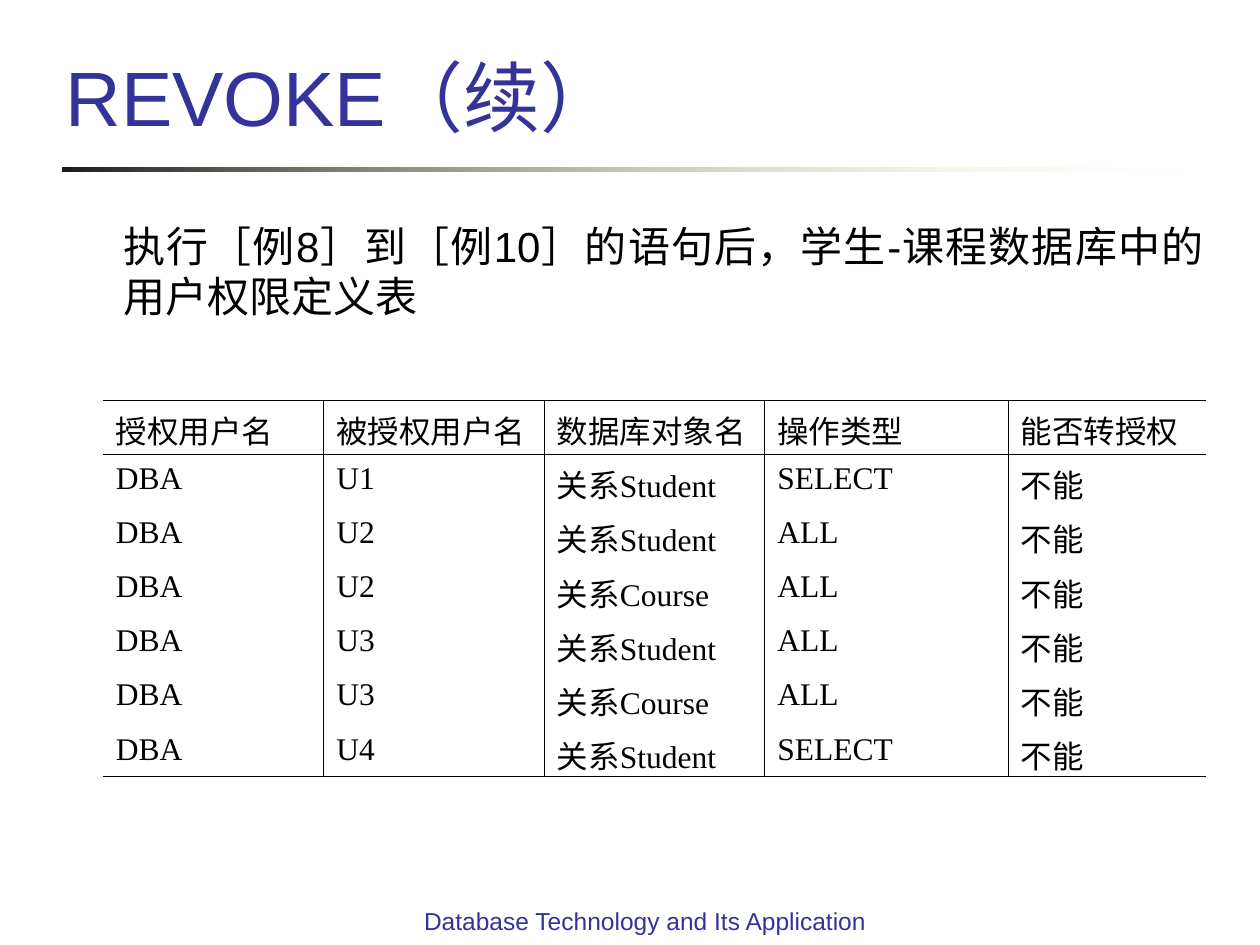
from dataclasses import dataclass
from typing import NamedTuple

from lxml import etree
from pptx import Presentation
from pptx import util as u
from pptx.dml.color import RGBColor
from pptx.enum import shapes, text
from pptx.oxml.ns import qn


@dataclass(frozen=True)
class Theme:
    heading: str = "333399"
    ink: str = "000000"
    rule_start: str = "1C1C1C"
    rule_end: str = "FFFFB7"
    sans: str = "Arial"
    serif: str = "Times New Roman"
    title_size: int = 44
    body_size: int = 24
    table_size: int = 18
    footer_size: int = 14
    border_width: float = 0.45


THEME = Theme()


class Box(NamedTuple):
    left: float
    top: float
    width: float
    height: float

    def lengths(self) -> list:
        return [u.Inches(value) for value in self]


class Grant(NamedTuple):
    grantor: str
    grantee: str
    target: str
    operation: str
    transferable: str


HEADER = Grant("授权用户名", "被授权用户名", "数据库对象名", "操作类型", "能否转授权")
GRANTS = [
    Grant("DBA", grantee, f"关系{relation}", operation, "不能")
    for grantee, relation, operation in [
        ("U1", "Student", "SELECT"),
        ("U2", "Student", "ALL"),
        ("U2", "Course", "ALL"),
        ("U3", "Student", "ALL"),
        ("U3", "Course", "ALL"),
        ("U4", "Student", "SELECT"),
    ]
]
COLUMN_WIDTHS = [1.75, 1.75, 1.75, 1.93, 1.57]
ROW_HEIGHTS = [0.43] * len(GRANTS) + [0.4]


def add_run(paragraph, content: str, font: str, size: int, color: str) -> None:
    run = paragraph.add_run()
    run.text = content
    run.font.name = font
    run.font.size = u.Pt(size)
    run.font.color.rgb = RGBColor.from_string(color)


def place_title(slide, box: Box, content: str) -> None:
    title = slide.shapes.title
    title.left, title.top, title.width, title.height = box.lengths()
    frame = title.text_frame
    frame.auto_size = text.MSO_AUTO_SIZE.NONE
    frame.vertical_anchor = text.MSO_ANCHOR.BOTTOM
    paragraph = frame.paragraphs[0]
    paragraph.alignment = text.PP_ALIGN.LEFT
    add_run(paragraph, content, THEME.sans, THEME.title_size, THEME.heading)


def add_text(slide, box: Box, content: str, size: int, color: str, alignment):
    frame = slide.shapes.add_textbox(*box.lengths()).text_frame
    frame.word_wrap = True
    paragraph = frame.paragraphs[0]
    paragraph.alignment = alignment
    add_run(paragraph, content, THEME.sans, size, color)
    return paragraph


def add_fading_rule(slide, box: Box) -> None:
    rule = slide.shapes.add_shape(shapes.MSO_SHAPE.RECTANGLE, *box.lengths())
    rule.shadow.inherit = False
    rule.line.fill.background()
    rule.fill.gradient()
    rule.fill.gradient_angle = 0
    for stop, color in zip(rule.fill.gradient_stops, (THEME.rule_start, THEME.rule_end)):
        stop.color.rgb = RGBColor.from_string(color)
    end_color = rule.element.spPr.findall(".//" + qn("a:srgbClr"))[-1]
    etree.SubElement(end_color, qn("a:alpha"), val="0")


def set_borders(cell, visible: dict[str, bool]) -> None:
    """Draw the visible edges and clear the others, in L, R, T, B order."""
    properties = cell._tc.get_or_add_tcPr()
    for edge, shown in visible.items():
        line = etree.SubElement(properties, qn(f"a:ln{edge}"), w=str(u.Pt(THEME.border_width)))
        if shown:
            fill = etree.SubElement(line, qn("a:solidFill"))
            etree.SubElement(fill, qn("a:srgbClr"), val=THEME.ink)
        else:
            etree.SubElement(line, qn("a:noFill"))


def add_grant_table(slide, box: Box, records: list[Grant]) -> None:
    last_row, last_column = len(records) - 1, len(COLUMN_WIDTHS) - 1
    table = slide.shapes.add_table(len(records), len(COLUMN_WIDTHS), *box.lengths()).table
    table.first_row = table.horz_banding = False
    for column, width in zip(table.columns, COLUMN_WIDTHS):
        column.width = u.Inches(width)
    for row, height in zip(table.rows, ROW_HEIGHTS):
        row.height = u.Inches(height)
    for r, record in enumerate(records):
        for c, content in enumerate(record):
            cell = table.cell(r, c)
            set_borders(cell, {
                "L": c > 0,
                "R": c < last_column,
                "T": r <= 1,
                "B": r in (0, last_row),
            })
            cell.fill.background()
            add_run(cell.text_frame.paragraphs[0], content,
                    THEME.serif, THEME.table_size, THEME.ink)


def main() -> None:
    presentation = Presentation()
    presentation.slide_width, presentation.slide_height = u.Inches(10), u.Inches(7.5)
    slide = presentation.slides.add_slide(presentation.slide_layouts.get_by_name("Title Only"))

    add_fading_rule(slide, Box(0.5, 1.33, 9, 0.03))
    add_text(slide, Box(3.19, 7.14, 3.86, 0.52), "Database Technology and Its Application",
             THEME.footer_size, THEME.heading, text.PP_ALIGN.CENTER)
    place_title(slide, Box(0.42, 0, 8.78, 1.18), "REVOKE（续）")
    statement = add_text(
        slide, Box(0.5, 1.7, 9.15, 1.2),
        "执行［例8］到［例10］的语句后，学生-课程数据库中的用户权限定义表",
        THEME.body_size, THEME.ink, text.PP_ALIGN.JUSTIFY)
    statement._p.get_or_add_pPr().set("marL", str(u.Inches(0.38)))
    add_grant_table(slide, Box(0.82, 3.18, 8.75, 2.98), [HEADER, *GRANTS])

    presentation.save("out.pptx")


if __name__ == "__main__":
    main()
